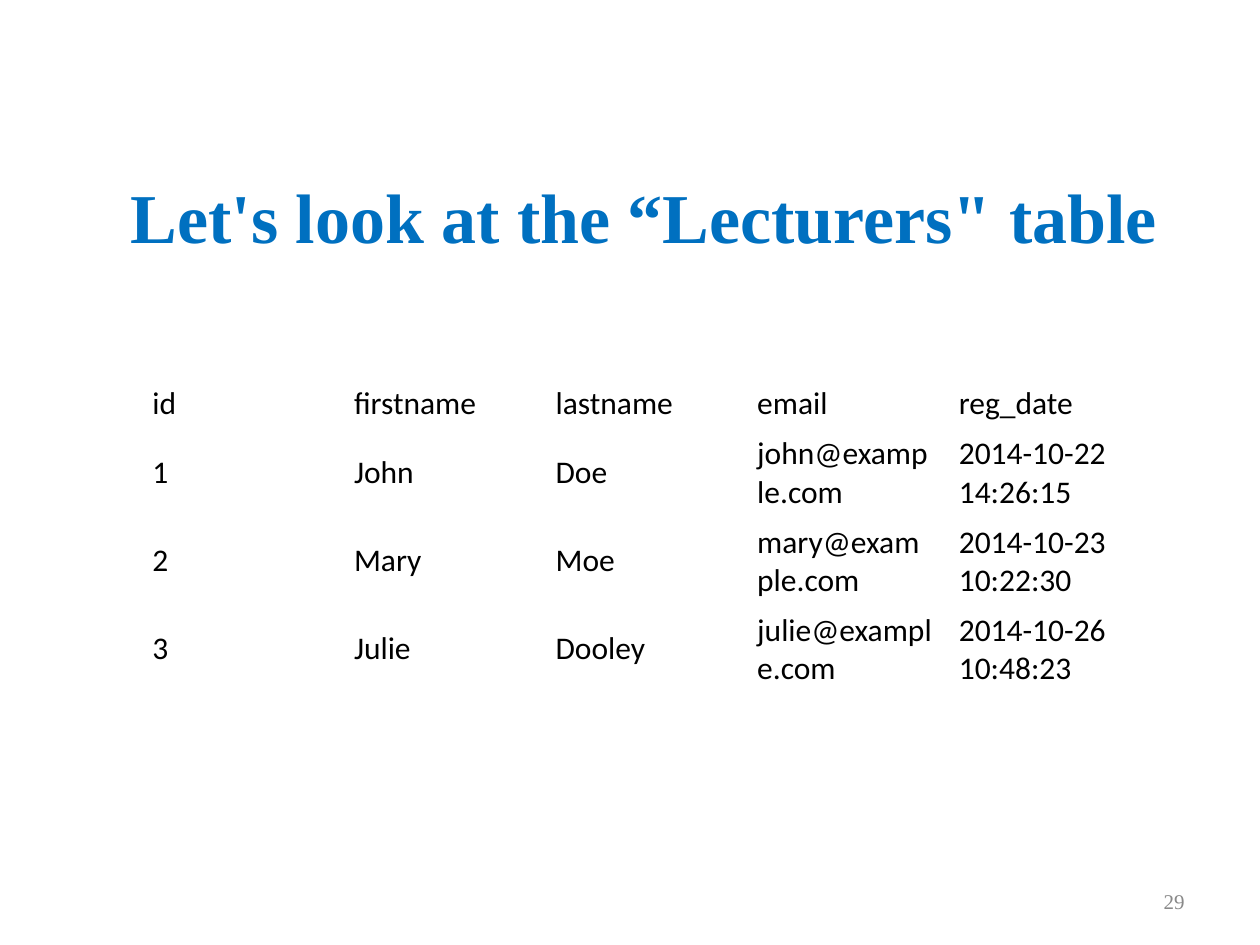
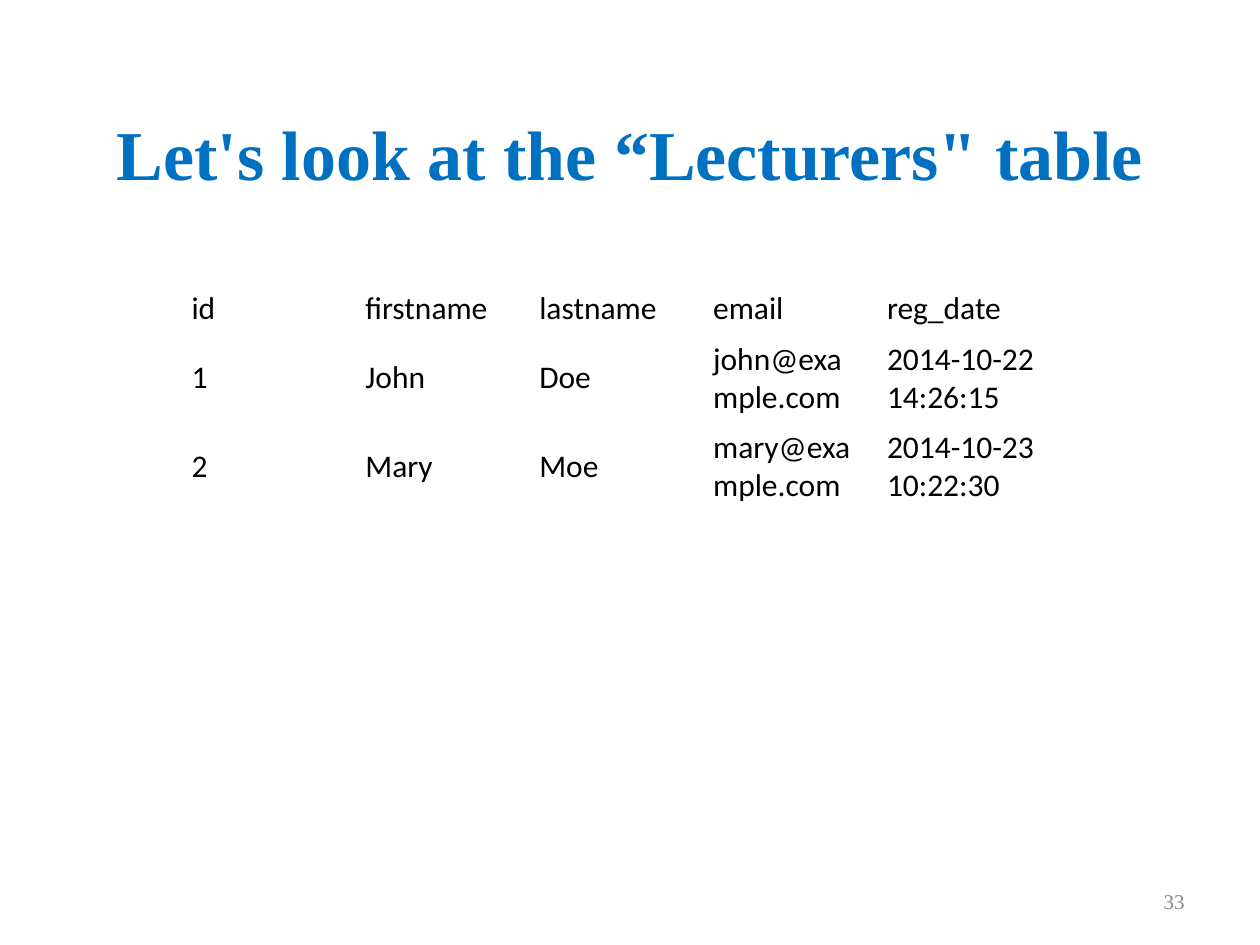
"""Build two slides that show the Lecturers table before and after a row is removed."""
from pptx import Presentation
from pptx import util as u
from pptx.dml import color
from pptx.enum import text

COLORS = {"title": "0070C0", "number": "898989", "body": "000000"}
SERIF, SANS = "Times New Roman", "Calibri"
TITLE = "Let's look at the “Lecturers\" table"
HEADER = ["id", "firstname", "lastname", "email", "reg_date"]
LECTURERS = [
    ["1", "John", "Doe", "john@example.com", "2014-10-22 14:26:15"],
    ["2", "Mary", "Moe", "mary@example.com", "2014-10-23 10:22:30"],
    ["3", "Julie", "Dooley", "julie@example.com", "2014-10-26 10:48:23"],
]
SLIDES = [
    {"number": "29", "title": (0.81, 1.33), "table": (1.11, 3), "col": 1.6, "rows": LECTURERS},
    {"number": "33", "title": (0.7, 0.83), "table": (1.42, 2.25), "col": 1.38, "rows": LECTURERS[:2]},
]


def style_run(p, font, size, shade, bold=False):
    r = p.runs[0]
    r.font.name = font
    r.font.size = u.Pt(size)
    r.font.bold = bold
    r.font.color.rgb = color.RGBColor.from_string(COLORS[shade])


def add_text(s, box, words, align, anchor):
    sp = s.shapes.add_textbox(*[u.Inches(v) for v in box])
    tf = sp.text_frame
    tf.word_wrap = True
    tf.vertical_anchor = anchor
    tf.text = words
    p = tf.paragraphs[0]
    p.alignment = align
    return tf, p


prs = Presentation()
prs.slide_width, prs.slide_height = u.Inches(10), u.Inches(7.5)

for page in SLIDES:
    s = prs.slides.add_slide(prs.slide_layouts[6])

    tf, p = add_text(s, (7.17, 6.95, 2.33, 0.4), page["number"],
                     text.PP_ALIGN.RIGHT, text.MSO_ANCHOR.MIDDLE)
    style_run(p, SERIF, 12, "number")

    tf, p = add_text(s, (*page["title"], 8.6, 1.44), TITLE,
                     text.PP_ALIGN.CENTER, text.MSO_ANCHOR.TOP)
    tf.auto_size = text.MSO_AUTO_SIZE.SHAPE_TO_FIT_TEXT
    p.space_before = u.Pt(10)
    style_run(p, SERIF, 40, "title", bold=True)

    rows = [HEADER] + page["rows"]
    heights = [0.4] + [0.7] * len(page["rows"])
    left, top = page["table"]
    table = s.shapes.add_table(len(rows), len(HEADER), u.Inches(left), u.Inches(top),
                               u.Inches(page["col"] * len(HEADER)), u.Inches(sum(heights))).table
    table.first_row = table.horz_banding = False
    for column in table.columns:
        column.width = u.Inches(page["col"])
    for i, (values, height) in enumerate(zip(rows, heights)):
        table.rows[i].height = u.Inches(height)
        for j, value in enumerate(values):
            cell = table.cell(i, j)
            cell.fill.background()
            cell.vertical_anchor = text.MSO_ANCHOR.MIDDLE
            cell.text_frame.text = value
            style_run(cell.text_frame.paragraphs[0], SANS, 18, "body")

prs.save("out.pptx")
